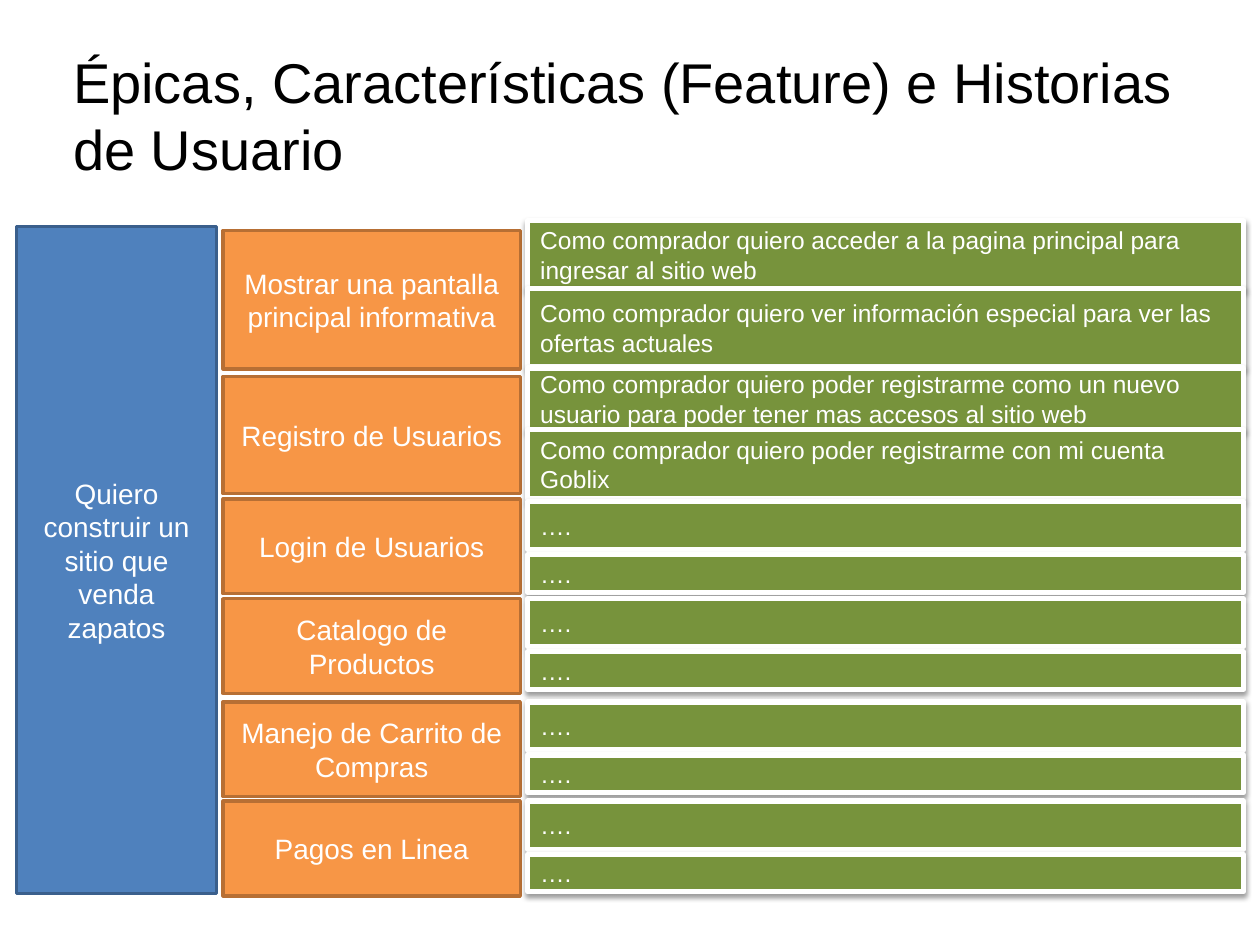
"""Build a story map slide: one epic, its features and their user stories."""
from lxml import etree
from pptx import Presentation, util as u
from pptx.dml.color import RGBColor
from pptx.enum import shapes, text
from pptx.oxml import ns

FEATURES = [
    ("Mostrar una pantalla principal informativa", 4.65, 2.79, [
        ("Como comprador quiero acceder a la pagina principal para ingresar al sitio web", 4.45, 1.37),
        ("Como comprador quiero ver información especial para ver las ofertas actuales", 5.82, 1.57)]),
    ("Registro de Usuarios", 7.59, 2.36, [
        ("Como comprador quiero poder registrarme como un nuevo usuario "
         "para poder tener mas accesos al sitio web", 7.42, 1.24),
        ("Como comprador quiero poder registrarme con mi cuenta Goblix", 8.66, 1.4)]),
]
PENDING = [
    ("Login de Usuarios", 10.06, 10.11),
    ("Catalogo de Productos", 12.07, 12.07),
    ("Manejo de Carrito de Compras", 14.15, 14.15),
    ("Pagos en Linea", 16.15, 16.15),
]
FEATURES += [
    (name, top, 1.91, [("….", first, 0.97), ("….", first + 1.07, 0.76)])
    for name, top, first in PENDING
]


def color(value):
    """Turn a hex string into a colour."""
    return RGBColor.from_string(value)


class StoryMap:
    """Hold the style and the current page."""

    font = "Arial"

    def __init__(self, deck):
        """Add a title-only page to the deck."""
        self.page = deck.slides.add_slide(deck.slide_layouts[5])

    def style(self, para, size, ink, align):
        """Format one paragraph."""
        para.alignment = align
        para.font.name = self.font
        para.font.size = u.Pt(size)
        para.font.color.rgb = color(ink)

    def title(self, words, left, top, width, height):
        """Place and fill the title."""
        box = self.page.shapes.title
        box.left, box.top, box.width, box.height = map(u.Cm, (left, top, width, height))
        frame = box.text_frame
        frame.text = words
        frame.word_wrap = True
        frame.auto_size = text.MSO_AUTO_SIZE.NONE
        frame.vertical_anchor = text.MSO_ANCHOR.TOP
        frame.margin_top = u.Cm(0.25)
        self.style(frame.paragraphs[0], 32, "000000", text.PP_ALIGN.LEFT)

    def card(self, words, area, fill, line, weight=2, size=16, align=text.PP_ALIGN.CENTER):
        """Add a filled rectangle with text."""
        box = self.page.shapes.add_shape(shapes.MSO_SHAPE.RECTANGLE, *map(u.Cm, area))
        box.shadow.inherit = False
        box.fill.solid()
        box.fill.fore_color.rgb = color(fill)
        box.line.color.rgb = color(line)
        box.line.width = u.Pt(weight)
        frame = box.text_frame
        frame.text = words
        frame.word_wrap = True
        frame.vertical_anchor = text.MSO_ANCHOR.MIDDLE
        self.style(frame.paragraphs[0], size, "FFFFFF", align)
        return box

    def epic(self, words, top, height):
        """Add the epic column."""
        self.card(words, (0.33, top, 4.04, height), "4F81BD", "3A5F8C")

    def feature(self, words, top, height):
        """Add a feature card."""
        self.card(words, (4.5, top, 5.99, height), "F79646", "B76F34")

    def story(self, words, top, height):
        """Add a user story card with a soft shadow."""
        box = self.card(words, (10.64, top, 14.43, height), "77933C", "FFFFFF",
                        3, 14, text.PP_ALIGN.LEFT)
        effects = box._element.spPr.find(ns.qn("a:effectLst"))
        shadow = etree.SubElement(effects, ns.qn("a:outerShdw"), blurRad=str(u.Pt(3.1)),
                                  dist=str(u.Pt(1.6)), dir="5400000", rotWithShape="0")
        tone = etree.SubElement(shadow, ns.qn("a:srgbClr"), val="000000")
        etree.SubElement(tone, ns.qn("a:alpha"), val="38000")


def main():
    """Build and save the deck."""
    deck = Presentation()
    deck.slide_width, deck.slide_height = u.Cm(25.4), u.Cm(19.05)
    story_map = StoryMap(deck)
    story_map.title("Épicas, Características (Feature) e Historias de Usuario", 1.22, 0.71, 23.87, 3.2)
    story_map.epic("Quiero construir un sitio que venda zapatos", 4.57, 13.44)
    for name, top, height, stories in FEATURES:
        story_map.feature(name, top, height)
        for story in stories:
            story_map.story(*story)
    deck.save("out.pptx")


if __name__ == "__main__":
    main()
